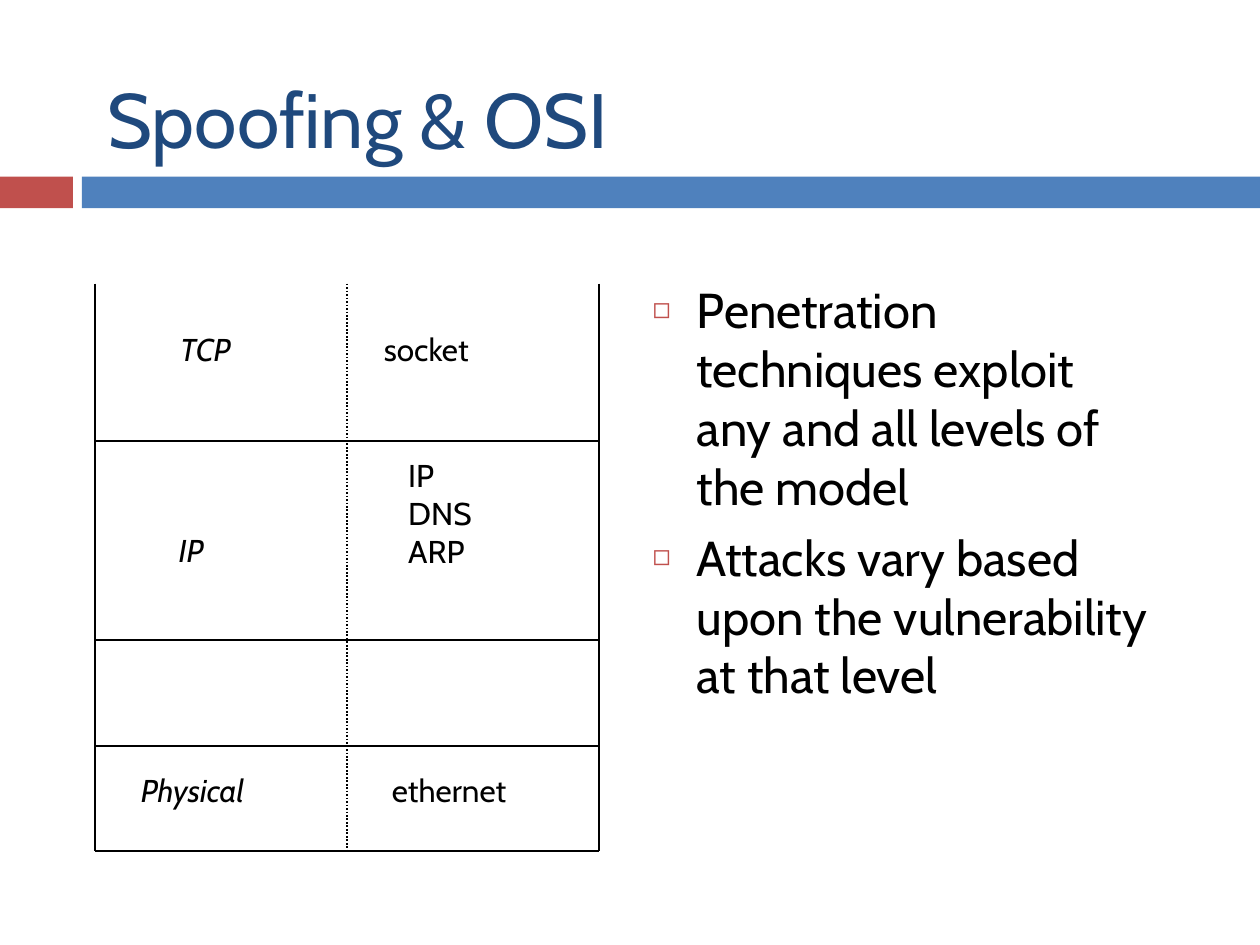
"""Build the "Spoofing & OSI" slide with a layer diagram and two bullet points."""
from lxml.etree import SubElement
from pptx import Presentation
from pptx.dml.color import RGBColor
from pptx.enum.dml import MSO_LINE
from pptx.enum.shapes import MSO_CONNECTOR, MSO_SHAPE
from pptx.enum.text import MSO_ANCHOR, MSO_AUTO_SIZE, PP_ALIGN
from pptx.oxml.ns import qn
from pptx.util import Cm, Pt

COLORS = {"red": "C0504D", "blue": "4F81BD", "navy": "1F497D", "black": "000000"}


def write(tf, text, size=18, color="black", italic=False, bullet=None, gap=0):
    for i, line in enumerate(text.split("\n")):
        p = tf.paragraphs[0] if i == 0 else tf.add_paragraph()
        p.alignment = PP_ALIGN.LEFT
        p.space_before = Pt(gap if i else 0)
        if bullet:
            pPr = p._p.get_or_add_pPr()
            pPr.set("marL", str(Cm(0.89)))
            pPr.set("indent", str(-Cm(0.89)))
            clr = SubElement(pPr, qn("a:buClr"))
            SubElement(clr, qn("a:srgbClr"), val=COLORS["red"])
            SubElement(pPr, qn("a:buSzPct"), val="60000")
            SubElement(pPr, qn("a:buChar"), char=bullet)
        r = p.add_run()
        r.text = line
        r.font.name = "Cabin"
        r.font.size = Pt(size)
        r.font.italic = italic
        r.font.color.rgb = RGBColor.from_string(COLORS[color])


prs = Presentation()
prs.slide_width, prs.slide_height = Cm(25.4), Cm(19.05)
s = prs.slides.add_slide(prs.slide_layouts[1])

for left, width, color in [(0, 1.47, "red"), (1.65, 23.75, "blue")]:
    sp = s.shapes.add_shape(MSO_SHAPE.RECTANGLE, Cm(left), Cm(3.56), Cm(width), Cm(0.64))
    sp.shadow.inherit = False
    sp.fill.solid()
    sp.fill.fore_color.rgb = RGBColor.from_string(COLORS[color])
    sp.line.fill.background()

title, body = s.shapes.title, s.placeholders[1]
for sp, box, anchor in [
    (title, (1.91, 0.79, 21.59, 3.18), MSO_ANCHOR.MIDDLE),
    (body, (12.9, 5.51, 10.59, 11.43), MSO_ANCHOR.TOP),
]:
    sp.left, sp.top, sp.width, sp.height = map(Cm, box)
    sp.text_frame.vertical_anchor = anchor
    sp.text_frame.auto_size = MSO_AUTO_SIZE.NONE
write(title.text_frame, "Spoofing & OSI", size=44, color="navy")
write(
    body.text_frame,
    "Penetration techniques exploit any and all levels of the model\n"
    "Attacks vary based upon the vulnerability at that level",
    size=28, bullet="◻", gap=7,
)

left, middle, right = 1.91, 6.99, 12.07
top, bottom = 5.72, 17.15
lines = [(x, top, x, bottom) for x in (left, right, middle)]
lines += [(left, y, right, y) for y in (bottom, 15.04, 12.9, 8.89)]
for line in lines:
    c = s.shapes.add_connector(MSO_CONNECTOR.STRAIGHT, *map(Cm, line))
    c.line.color.rgb = RGBColor.from_string(COLORS["black"])
    c.line.width = Pt(1)
    if line[0] == line[2] == middle:
        c.line.dash_style = MSO_LINE.ROUND_DOT
    SubElement(c._element.spPr, qn("a:effectLst"))

for text, x, y, width, height, italic in [
    ("TCP", 3.38, 6.53, 1.57, 1.02, True),
    ("IP", 3.35, 10.59, 2.16, 1.02, True),
    ("Physical", 2.59, 15.42, 2.79, 1.02, True),
    ("ethernet", 7.65, 15.42, 3.1, 1.02, False),
    ("IP\nDNS\nARP", 7.98, 9.07, 1.8, 2.54, False),
    ("socket", 7.49, 6.53, 2.44, 1.02, False),
]:
    tf = s.shapes.add_textbox(Cm(x), Cm(y), Cm(width), Cm(height)).text_frame
    tf.word_wrap = text == "IP"
    tf.auto_size = MSO_AUTO_SIZE.SHAPE_TO_FIT_TEXT
    write(tf, text, italic=italic)

prs.save("out.pptx")
